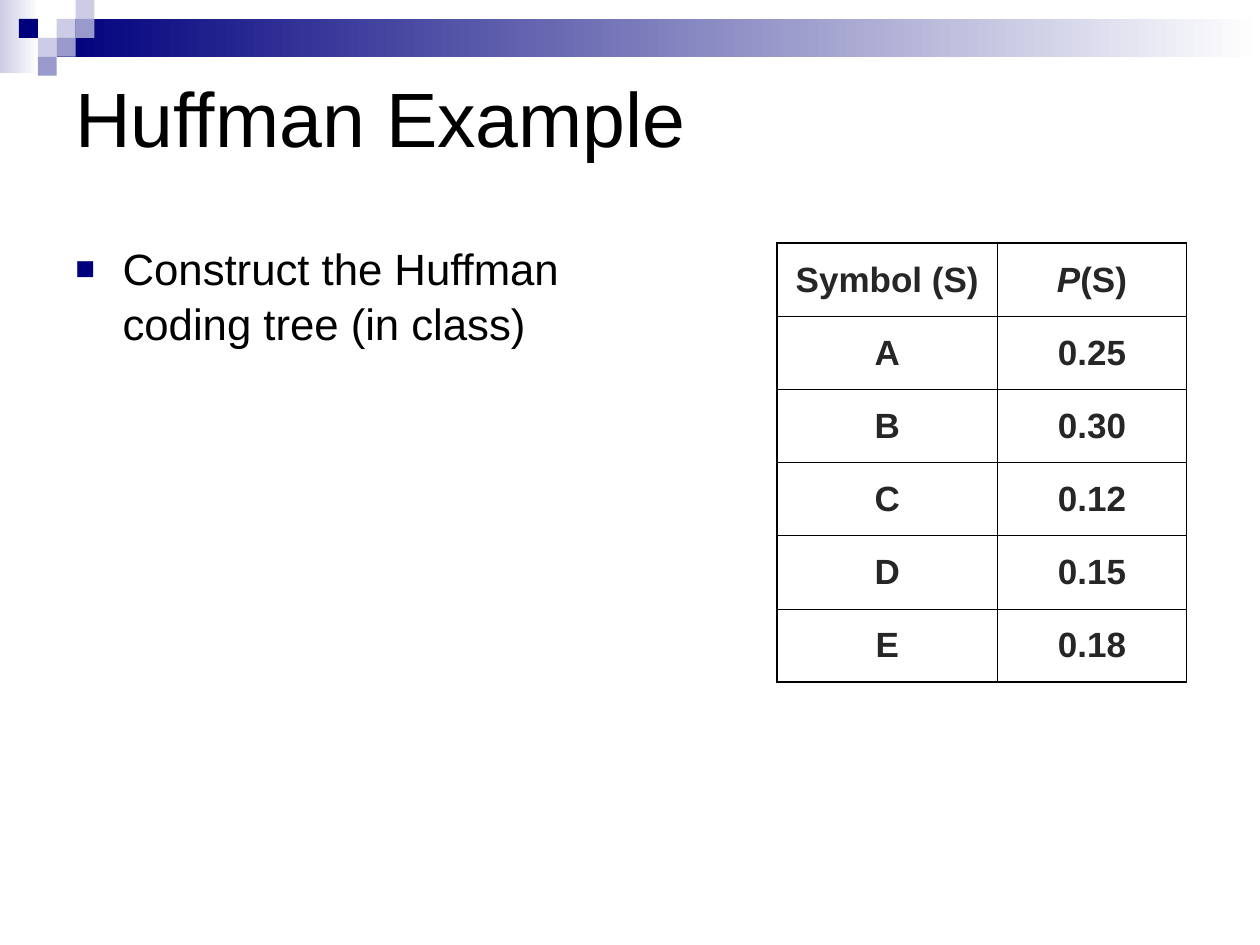
from dataclasses import dataclass

from lxml import etree
from pptx import Presentation
from pptx.dml.color import RGBColor
from pptx.enum.shapes import MSO_SHAPE
from pptx.enum.text import MSO_ANCHOR, PP_ALIGN
from pptx.oxml.ns import qn
from pptx.util import Pt

RECTANGLE = MSO_SHAPE.RECTANGLE
MIDDLE = MSO_ANCHOR.MIDDLE
CENTER = PP_ALIGN.CENTER
BLANK_LAYOUT = 6


@dataclass(frozen=True)
class Theme:
    font: str = "Arial"
    navy: str = "00007D"
    violet: str = "9999CC"
    lavender: str = "CCCCE6"
    white: str = "FFFFFF"
    black: str = "000000"
    table_text: str = "262626"
    title_size: float = 44
    body_size: float = 25
    table_size: float = 20
    inner_line: float = 0.45
    outer_line: float = 1.08


THEME = Theme()

SYMBOL_ROWS = [
    ("A", "0.25"),
    ("B", "0.30"),
    ("C", "0.12"),
    ("D", "0.15"),
    ("E", "0.18"),
]


def add_run(paragraph, text, size, color, bold=False, italic=False):
    run = paragraph.add_run()
    run.text = text
    run.font.name = THEME.font
    run.font.size = Pt(size)
    run.font.bold = bold
    run.font.italic = italic
    run.font.color.rgb = RGBColor.from_string(color)


def add_rectangle(slide, box, color, fade_to=None):
    shape = slide.shapes.add_shape(RECTANGLE, *map(Pt, box))
    shape.shadow.inherit = False
    shape.line.fill.background()
    if fade_to is None:
        shape.fill.solid()
        shape.fill.fore_color.rgb = RGBColor.from_string(color)
        return
    shape.fill.gradient()
    shape.fill.gradient_angle = 0
    for stop, stop_color, position in zip(
        shape.fill.gradient_stops, (color, fade_to), (0, 1)
    ):
        stop.color.rgb = RGBColor.from_string(stop_color)
        stop.position = position


def add_text_box(slide, box):
    frame = slide.shapes.add_textbox(*map(Pt, box)).text_frame
    frame.word_wrap = True
    return frame


def add_header_band(slide, box):
    left, top, width, height = box
    square = height / 4
    # Fading bars
    add_rectangle(slide, (left, top, 22.3, 41.8), THEME.lavender, THEME.white)
    bar_left = left + 3 * square
    bar = (bar_left, top + square, width - 3 * square, 2 * square)
    add_rectangle(slide, bar, THEME.navy, THEME.white)
    # Mosaic squares by column and row
    mosaic = [
        (3, 1, THEME.lavender),
        (4, 0, THEME.lavender),
        (4, 1, THEME.violet),
        (2, 2, THEME.lavender),
        (1, 1, THEME.navy),
        (3, 2, THEME.violet),
        (2, 3, THEME.violet),
    ]
    for column, row, color in mosaic:
        corner = (left + column * square, top + row * square)
        add_rectangle(slide, (*corner, square, square), color)


def add_title(slide, box):
    frame = add_text_box(slide, box)
    frame.vertical_anchor = MIDDLE
    add_run(frame.paragraphs[0], "Huffman Example", THEME.title_size, THEME.black)


def add_bullet(paragraph, indent):
    properties = paragraph._p.get_or_add_pPr()
    properties.set("marL", str(Pt(indent)))
    properties.set("indent", str(-Pt(indent)))
    color = etree.SubElement(properties, qn("a:buClr"))
    etree.SubElement(color, qn("a:srgbClr"), val=THEME.navy)
    etree.SubElement(properties, qn("a:buSzPct"), val="75000")
    etree.SubElement(properties, qn("a:buFont"), typeface=THEME.font)
    etree.SubElement(properties, qn("a:buChar"), char="■")


def add_task(slide, box):
    paragraph = add_text_box(slide, box).paragraphs[0]
    paragraph.space_before = Pt(6.2)
    paragraph.line_spacing = 1.05
    add_bullet(paragraph, 27)
    add_run(
        paragraph,
        "Construct the Huffman coding tree (in class)",
        THEME.body_size,
        THEME.black,
    )


def set_cell_borders(cell, widths):
    properties = cell._tc.get_or_add_tcPr()
    for index, (side, width) in enumerate(widths.items()):
        line = etree.Element(qn(f"a:{side}"), w=str(Pt(width)))
        fill = etree.SubElement(line, qn("a:solidFill"))
        etree.SubElement(fill, qn("a:srgbClr"), val=THEME.black)
        properties.insert(index, line)


def add_probability_table(slide, box):
    header = ([("Symbol (S)", False)], [("P", True), ("(S)", False)])
    rows = [header] + [[[(text, False)] for text in row] for row in SYMBOL_ROWS]
    last_row, last_column = len(rows) - 1, len(header) - 1
    table = slide.shapes.add_table(len(rows), len(header), *map(Pt, box)).table
    table.first_row = False
    table.horz_banding = False
    for column, width in zip(table.columns, (126, 108)):
        column.width = Pt(width)
    for row in table.rows:
        row.height = Pt(box[3] / len(rows))

    def line_width(is_outer):
        return THEME.outer_line if is_outer else THEME.inner_line

    for row_index, row in enumerate(rows):
        for column_index, parts in enumerate(row):
            cell = table.cell(row_index, column_index)
            cell.fill.background()
            cell.vertical_anchor = MIDDLE
            paragraph = cell.text_frame.paragraphs[0]
            paragraph.alignment = CENTER
            paragraph.space_before = Pt(5)
            for text, italic in parts:
                add_run(paragraph, text, THEME.table_size, THEME.table_text, True, italic)
            set_cell_borders(cell, {
                "lnL": line_width(column_index == 0),
                "lnR": line_width(column_index == last_column),
                "lnT": line_width(row_index == 0),
                "lnB": line_width(row_index == last_row),
            })


def main():
    presentation = Presentation()
    presentation.slide_width = Pt(720)
    presentation.slide_height = Pt(540)
    slide = presentation.slides.add_slide(presentation.slide_layouts[BLANK_LAYOUT])
    add_header_band(slide, (0, 0, 720, 43.2))
    add_title(slide, (36, 21.6, 648, 90))
    add_task(slide, (36, 133.2, 318, 349.2))
    add_probability_table(slide, (444, 139, 234, 250.8))
    presentation.save("out.pptx")


if __name__ == "__main__":
    main()
